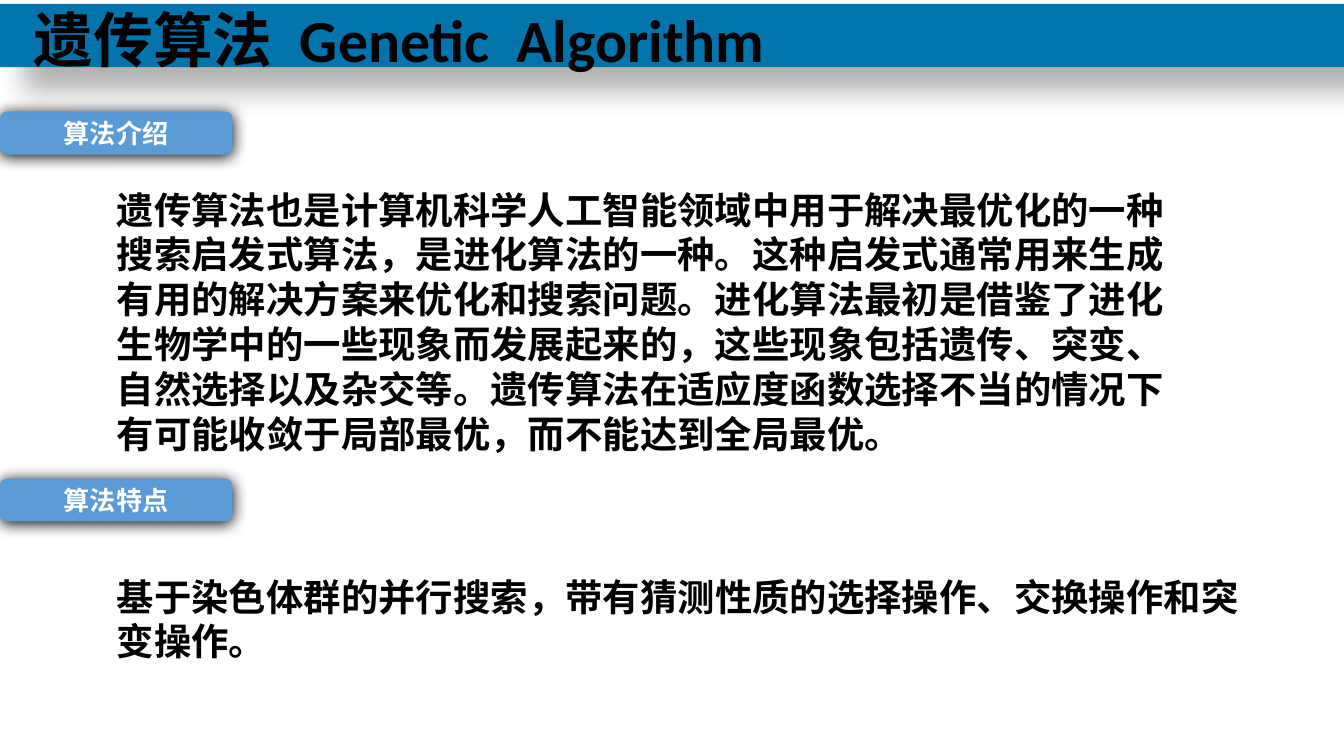
from lxml.etree import SubElement as Sub
from pptx import Presentation
from pptx.dml.color import RGBColor
from pptx.enum.shapes import MSO_SHAPE as Shape
from pptx.enum.text import MSO_ANCHOR as Anchor, MSO_AUTO_SIZE as Fit, PP_ALIGN as Align
from pptx.oxml.ns import qn
from pptx.util import Inches, Pt

INTRO = (
    "遗传算法也是计算机科学人工智能领域中用于解决最优化的一种搜索启发式算法，"
    "是进化算法的一种。这种启发式通常用来生成有用的解决方案来优化和搜索问题。"
    "进化算法最初是借鉴了进化生物学中的一些现象而发展起来的，"
    "这些现象包括遗传、突变、自然选择以及杂交等。"
    "遗传算法在适应度函数选择不当的情况下有可能收敛于局部最优，而不能达到全局最优。"
)
TRAITS = "基于染色体群的并行搜索，带有猜测性质的选择操作、交换操作和突变操作。"


def paint(target, color):
    """Give a fill or a font a solid colour from a hex string."""
    if hasattr(target, "solid"):
        target.solid()
        target.fore_color.rgb = RGBColor.from_string(color)
    else:
        target.color.rgb = RGBColor.from_string(color)


def write(shape, text, size, color="000000", align=Align.LEFT, anchor=Anchor.TOP):
    """Write one bold paragraph into a shape."""
    frame = shape.text_frame
    frame.text = text
    frame.word_wrap = True
    frame.vertical_anchor = anchor
    para = frame.paragraphs[0]
    para.alignment = align
    font = para.runs[0].font
    font.name, font.size, font.bold = "Calibri", Pt(size), True
    paint(font, color)


def shade(shape, alpha, blur, dist, angle):
    """Add a black outer shadow."""
    shape.shadow.inherit = False
    effects = shape.element.spPr.find(qn("a:effectLst"))
    outer = Sub(effects, qn("a:outerShdw"), blurRad=str(Pt(blur)), dist=str(Pt(dist)),
                dir=str(angle * 60000), algn="tl", rotWithShape="0")
    black = Sub(outer, qn("a:srgbClr"), val="000000")
    Sub(black, qn("a:alpha"), val=str(alpha * 1000))


def add_box(slide, kind, box, color):
    """Add a filled shape without an outline."""
    shape = slide.shapes.add_shape(kind, *map(Inches, box))
    paint(shape.fill, color)
    shape.line.fill.background()
    return shape


def add_tag(slide, top, text):
    """Add a section tag at the left edge."""
    tag = add_box(slide, Shape.ROUNDED_RECTANGLE, (0, top, 1.73, 0.32), "5B9BD5")
    shade(tag, 100, 8.5, 1, 90)
    write(tag, text, 14, "FFFFFF", Align.CENTER, Anchor.MIDDLE)


def add_bar(slide):
    """Add the shaded bar behind the title."""
    bar = add_box(slide, Shape.RECTANGLE, (0, 0.03, 10, 0.47), "0174AB")
    shade(bar, 30, 15, 18, 45)


def add_text(slide, box, text):
    """Add a wrapped block of text."""
    block = slide.shapes.add_textbox(*map(Inches, box))
    write(block, text, 20)
    block.text_frame.auto_size = Fit.SHAPE_TO_FIT_TEXT


def set_title(slide, text):
    """Fill the title and bring it to the front."""
    title = slide.shapes.title
    title.left, title.top, title.width, title.height = map(Inches, (0.15, -0.03, 5.82, 0.64))
    write(title, text, 32)
    title.text_frame.auto_size = Fit.SHAPE_TO_FIT_TEXT
    title.element.getparent().append(title.element)


def main():
    """Build and save the slide."""
    deck = Presentation()
    deck.slide_width = Inches(10)
    deck.slide_height = deck.slide_width * 9 // 16
    slide = deck.slides.add_slide(deck.slide_layouts[5])
    add_tag(slide, 0.83, "算法介绍")
    add_bar(slide)
    add_text(slide, (0.77, 1.34, 8.26, 2.12), INTRO)
    add_tag(slide, 3.56, "算法特点")
    add_text(slide, (0.77, 4.22, 8.65, 0.77), TRAITS)
    set_title(slide, "遗传算法  Genetic  Algorithm")
    deck.save("out.pptx")


if __name__ == "__main__":
    main()
